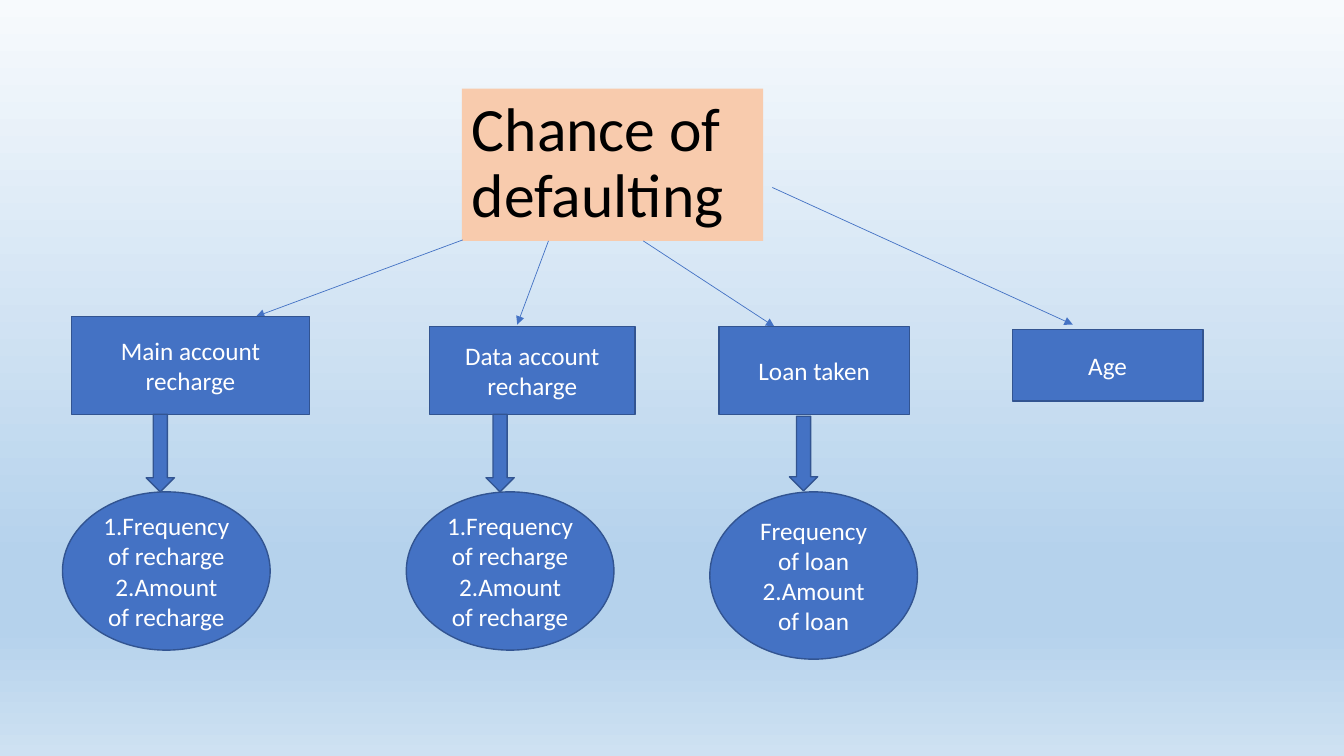
"""Build a slide showing the factors behind the chance of defaulting."""
from copy import deepcopy

from pptx import Presentation
from pptx.dml.color import RGBColor
from pptx.enum.shapes import MSO_CONNECTOR, MSO_SHAPE
from pptx.enum.text import MSO_ANCHOR, MSO_AUTO_SIZE, PP_ALIGN
from pptx.oxml.ns import qn
from pptx.oxml.xmlchemy import OxmlElement
from pptx.util import Emu, Pt

PX = 9144
BLUE = RGBColor(0x44, 0x72, 0xC4)
NAVY = RGBColor(0x32, 0x54, 0x91)
PEACH = RGBColor(0xF8, 0xCB, 0xAD)
WHITE = RGBColor(0xFF, 0xFF, 0xFF)
BLACK = RGBColor(0x00, 0x00, 0x00)
SKY = [
    (0, RGBColor(0xF7, 0xFA, 0xFD)),
    (74, RGBColor(0xB5, 0xD2, 0xEC)),
    (83, RGBColor(0xB5, 0xD2, 0xEC)),
    (100, RGBColor(0xCE, 0xE1, 0xF2)),
]


class Diagram:
    """Holds the style and the current page."""

    font = "Calibri"

    def __init__(self, deck):
        self.page = deck.slides.add_slide(deck.slide_layouts[5])

    def background(self, stops):
        fill = self.page.background.fill
        fill.gradient()
        fill.gradient_angle = 270
        stop_list = next(self.page.element.iter(qn("a:gsLst")))
        for _ in range(len(stops) - len(stop_list)):
            stop_list.append(deepcopy(stop_list[0]))
        for stop, (percent, color) in zip(fill.gradient_stops, stops):
            stop.position = percent / 100
            stop.color.rgb = color

    def label(self, box, lines, size, color, **formats):
        frame = box.text_frame
        frame.word_wrap = True
        frame.auto_size = MSO_AUTO_SIZE.NONE
        frame.vertical_anchor = MSO_ANCHOR.MIDDLE
        frame.text = "\n".join(lines)
        for para in frame.paragraphs:
            for name, value in formats.items():
                setattr(para, name, value)
            span = para.runs[0]
            for name, value in {"name": self.font, "size": Pt(size)}.items():
                setattr(span.font, name, value)
            span.font.color.rgb = color

    def title(self, text, left, top, width, height):
        box = self.page.shapes.title
        places = {"left": left, "top": top, "width": width, "height": height}
        for name, value in places.items():
            setattr(box, name, Emu(value * PX))
        box.fill.solid()
        box.fill.fore_color.rgb = PEACH
        self.label(box, [text], 44, BLACK,
                   alignment=PP_ALIGN.LEFT, line_spacing=0.9)

    def shape(self, kind, place, lines=()):
        box = self.page.shapes.add_shape(kind, *(Emu(n * PX) for n in place))
        box.shadow.inherit = False
        box.fill.solid()
        box.fill.fore_color.rgb = BLUE
        box.line.color.rgb = NAVY
        box.line.width = Pt(1)
        if lines:
            self.label(box, lines, 18, WHITE, alignment=PP_ALIGN.CENTER)

    def arrow(self, *ends):
        connector = self.page.shapes.add_connector(
            MSO_CONNECTOR.STRAIGHT, *(Emu(n * PX) for n in ends))
        connector.line.color.rgb = BLUE
        connector.line.width = Pt(0.5)
        head = OxmlElement("a:tailEnd")
        head.set("type", "triangle")
        next(connector.element.iter(qn("a:ln"))).append(head)
        connector.element.spPr.append(OxmlElement("a:effectLst"))


def main():
    deck = Presentation()
    deck.slide_width, deck.slide_height = Emu(1333 * PX), Emu(750 * PX)
    diagram = Diagram(deck)
    diagram.background(SKY)
    diagram.title("Chance of defaulting", 458, 88, 299, 151)

    factors = [
        ("Main account recharge", (71, 314, 236, 97), (459, 238, 254, 314)),
        ("Data account recharge", (426, 324, 204, 87), (544, 239, 513, 322)),
        ("Loan taken", (713, 324, 189, 87), (638, 239, 768, 324)),
        ("Age", (1004, 327, 189, 71), (766, 186, 1064, 322)),
    ]
    for factor, place, ends in factors:
        diagram.arrow(*ends)
        diagram.shape(MSO_SHAPE.RECTANGLE, place, [factor])

    recharge = ["1.Frequency of recharge", "2.Amount of recharge"]
    loan = ["Frequency of loan", "2.Amount of loan"]
    measures = [
        (recharge, 62, 157, (145, 411, 28, 77)),
        (recharge, 403, 157, (482, 411, 28, 77)),
        (loan, 704, 166, (783, 413, 28, 74)),
    ]
    for lines, left, height, arrow_place in measures:
        diagram.shape(MSO_SHAPE.OVAL, (left, 488, 206, height), lines)
        diagram.shape(MSO_SHAPE.DOWN_ARROW, arrow_place)

    deck.save("out.pptx")


if __name__ == "__main__":
    main()
